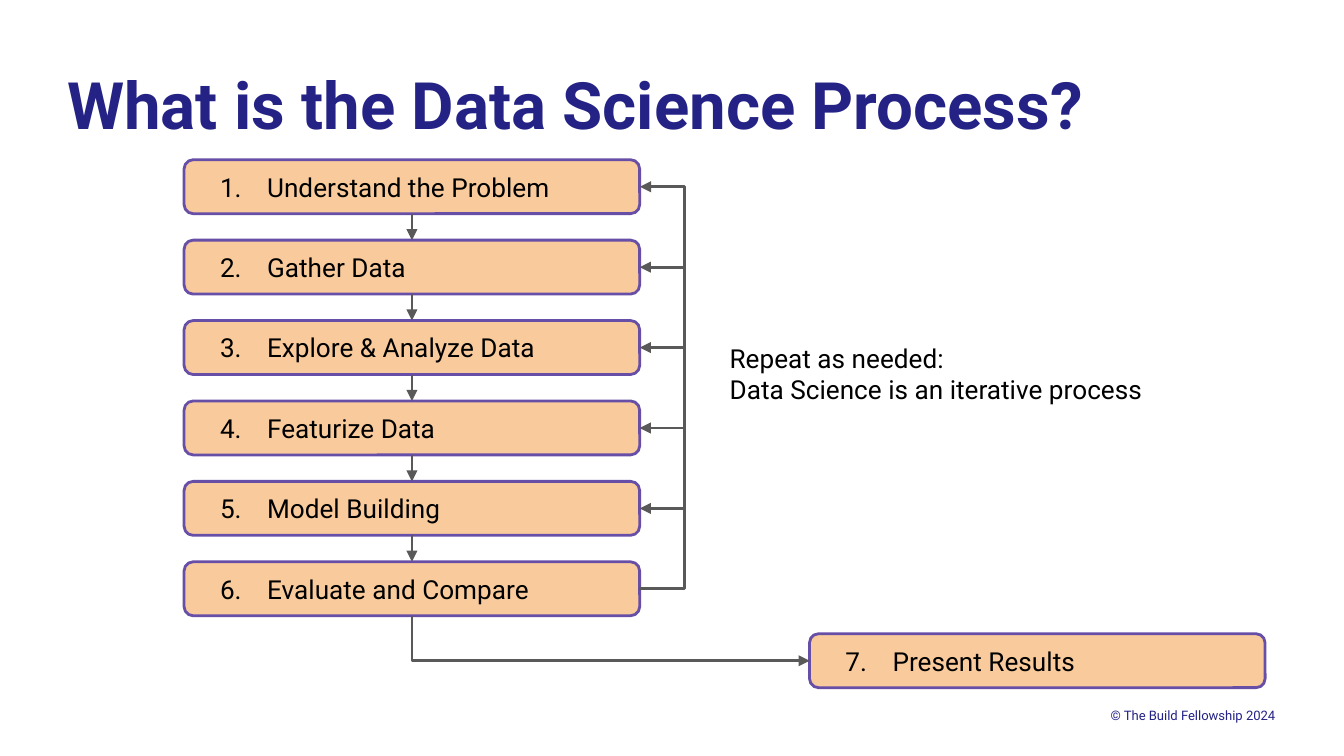
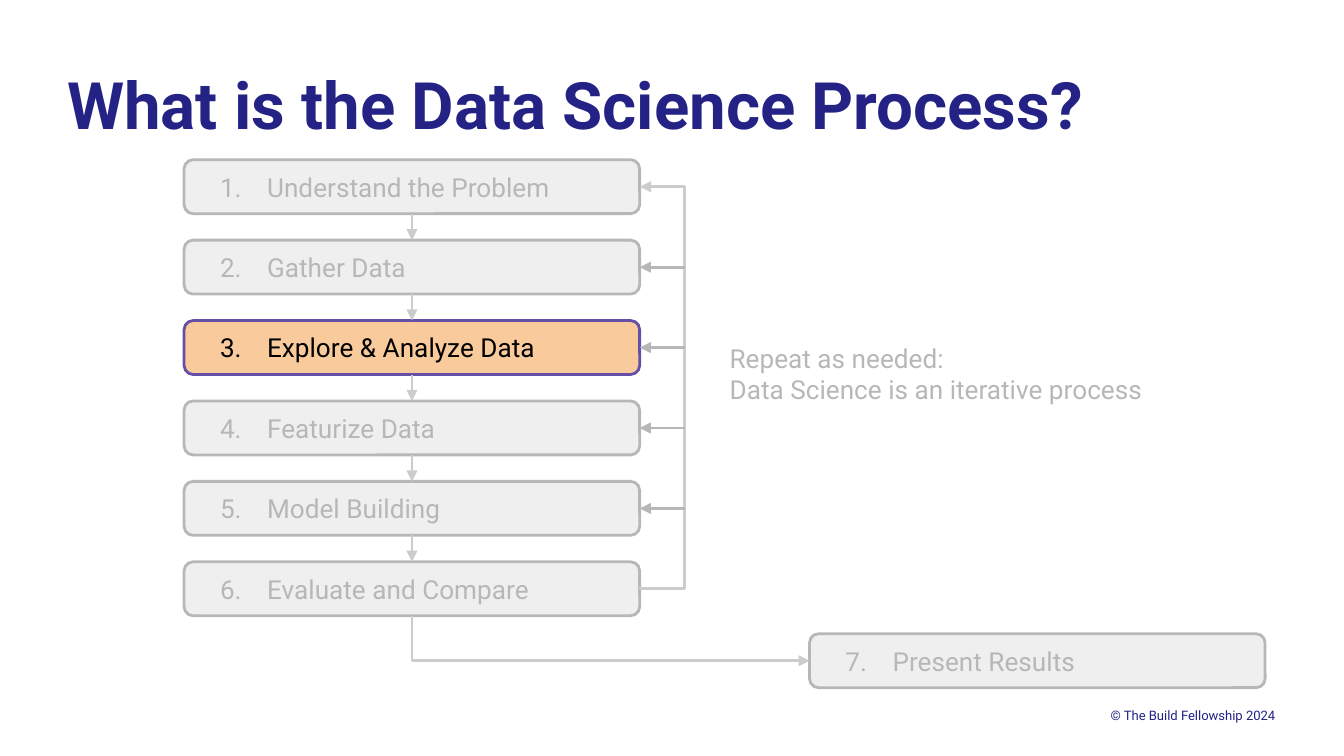
"""Build two slides showing the data science process and its third step."""
from itertools import pairwise

from lxml.etree import SubElement
from pptx import Presentation
from pptx.dml.color import RGBColor
from pptx.enum.shapes import MSO_CONNECTOR, MSO_SHAPE
from pptx.enum.text import MSO_ANCHOR, PP_ALIGN
from pptx.oxml.ns import qn
from pptx.util import Cm, Pt

FONT = "Roboto"
COLORS = {
    "navy": "242385", "peach": "F9CB9C", "purple": "674EA7",
    "black": "000000", "dark": "595959", "pale": "EFEFEF",
    "gray": "B7B7B7", "light": "CCCCCC",
}
STEPS = [
    "Understand the Problem", "Gather Data", "Explore & Analyze Data",
    "Featurize Data", "Model Building", "Evaluate and Compare",
]
LAST = "Present Results"
NOTE = ["Repeat as needed:", "Data Science is an iterative process"]
LEFT, TOP, PITCH = 3.48, 3.02, 1.52
WIDTH, HEIGHT = 8.61, 1.02


def shade(name):
    return RGBColor.from_string(COLORS[name])


class Deck:
    """Hold the style and the current slide."""

    def __init__(self):
        self.file = Presentation()
        self.file.slide_width = Cm(25.4)
        self.file.slide_height = Cm(14.29)
        self.slide = None

    def page(self):
        self.slide = self.file.slides.add_slide(self.file.slide_layouts[6])
        self.text(["© The Build Fellowship 2024"], (1.27, 13.31, 22.83, 0.41),
                  7, "navy", align=PP_ALIGN.RIGHT, anchor=MSO_ANCHOR.MIDDLE)
        self.text(["What is the Data Science Process?"],
                  (1.27, 1.22, 20.12, 1.78), 35, "navy", bold=True)

    def fill(self, frame, lines, size, color, pad=0.0, bold=False,
             align=PP_ALIGN.LEFT, anchor=MSO_ANCHOR.TOP, start=None):
        frame.word_wrap = True
        frame.vertical_anchor = anchor
        frame.margin_left = frame.margin_right = Cm(pad)
        frame.margin_top = frame.margin_bottom = Cm(pad)
        for i, line in enumerate(lines):
            para = frame.add_paragraph() if i else frame.paragraphs[0]
            para.text = line
            para.alignment = align
            if start:
                self.number(para, start, color)
            font = para.font
            font.name, font.size, font.bold = FONT, Pt(size), bold
            font.color.rgb = shade(color)

    def number(self, para, start, color):
        props = para._p.get_or_add_pPr()
        props.set("marL", str(Cm(1.27)))
        props.set("indent", str(Cm(-0.89)))
        tint = SubElement(props, qn("a:buClr"))
        SubElement(tint, qn("a:srgbClr"), val=COLORS[color])
        SubElement(props, qn("a:buFont"), typeface=FONT)
        SubElement(props, qn("a:buAutoNum"), type="arabicPeriod",
                   startAt=str(start))

    def text(self, lines, area, size, color, **style):
        box = self.slide.shapes.add_textbox(*map(Cm, area))
        self.fill(box.text_frame, lines, size, color, **style)

    def step(self, num, label, left, top, live):
        back, edge, ink = (("peach", "purple", "black") if live
                           else ("pale", "gray", "gray"))
        box = self.slide.shapes.add_shape(
            MSO_SHAPE.ROUNDED_RECTANGLE,
            Cm(left), Cm(top), Cm(WIDTH), Cm(HEIGHT))
        box.shadow.inherit = False
        box.fill.solid()
        box.fill.fore_color.rgb = shade(back)
        box.line.color.rgb = shade(edge)
        box.line.width = Pt(1.5)
        self.fill(box.text_frame, [label], 14, ink, pad=0.25,
                  anchor=MSO_ANCHOR.MIDDLE, start=num)
        return box

    def line(self, kind, color, end="tailEnd"):
        link = self.slide.shapes.add_connector(kind, 0, 0, 0, 0)
        link.line.color.rgb = shade(color)
        link.line.width = Pt(1.5)
        SubElement(link.line._get_or_add_ln(), qn(f"a:{end}"), type="triangle")
        SubElement(link._element.spPr, qn("a:effectLst"))
        return link

    def down(self, first, second, color):
        link = self.line(MSO_CONNECTOR.STRAIGHT, color)
        link.begin_connect(first, 2)
        link.end_connect(second, 0)

    def back(self, box, color):
        link = self.line(MSO_CONNECTOR.STRAIGHT, color, "headEnd")
        link.begin_connect(box, 3)
        link.end_x = box.left + box.width + Cm(0.86)
        link.end_y = box.top + box.height // 2

    def bend(self, first, second, sides, color, shape, flip="0", bends=()):
        link = self.line(MSO_CONNECTOR.ELBOW, color)
        link.begin_connect(first, sides[0])
        link.end_connect(second, sides[1])
        mid_x = (link.begin_x + link.end_x) // 2
        mid_y = (link.begin_y + link.end_y) // 2
        wide = abs(link.end_y - link.begin_y)
        high = max(abs(link.end_x - link.begin_x), Cm(0.01))
        link.left, link.top = mid_x - wide // 2, mid_y - high // 2
        link.width, link.height = wide, high
        props = link._element.spPr
        frame = props.find(qn("a:xfrm"))
        for key, value in (("rot", "16200000"), ("flipH", flip),
                           ("flipV", "0")):
            frame.set(key, value)
        geom = props.find(qn("a:prstGeom"))
        geom.set("prst", shape)
        for i, value in enumerate(bends, 1):
            SubElement(geom.find(qn("a:avLst")), qn("a:gd"),
                       name=f"adj{i}", fmla=f"val {value}")

    def flow(self, focus=None):
        self.page()
        flow, loop, ink = (("light", "gray", "gray") if focus
                           else ("dark", "dark", "black"))
        boxes = [self.step(i + 1, label, LEFT, TOP + i * PITCH,
                           focus in (None, i + 1))
                 for i, label in enumerate(STEPS)]
        last = self.step(len(STEPS) + 1, LAST, 15.3, 11.98, not focus)
        for pair in pairwise(boxes):
            self.down(*pair, flow)
        self.bend(boxes[-1], boxes[0], (3, 3), flow, "bentConnector4",
                  bends=(0, 8500000))
        self.bend(boxes[-1], last, (2, 1), flow, "bentConnector2", flip="1")
        self.text(NOTE, (13.54, 6.22, 9.22, 1.52), 14, ink, pad=0.25)
        for box in boxes[1:-1]:
            self.back(box, loop)


def main():
    deck = Deck()
    deck.flow()
    deck.flow(focus=3)
    deck.file.save("out.pptx")


if __name__ == "__main__":
    main()
